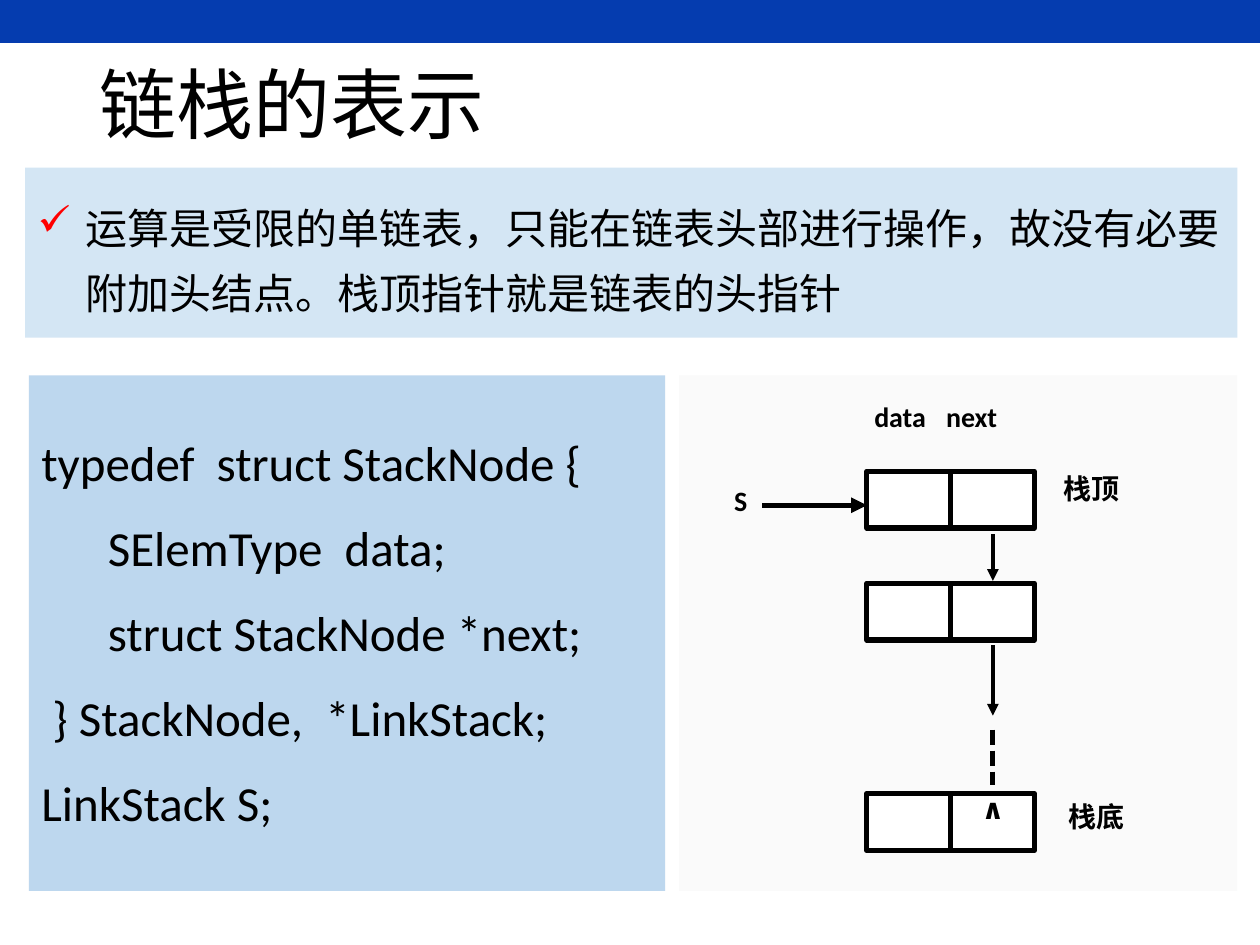
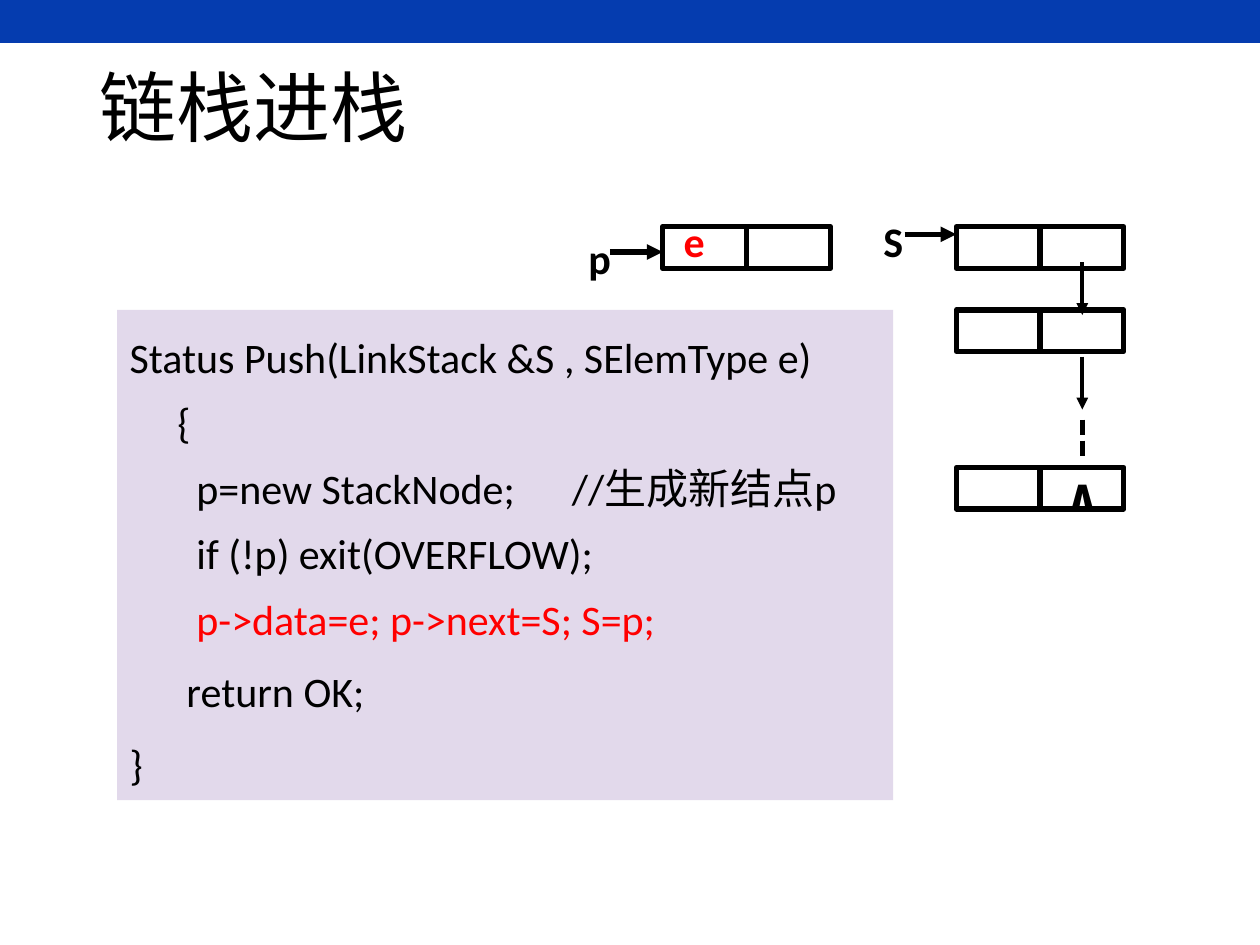
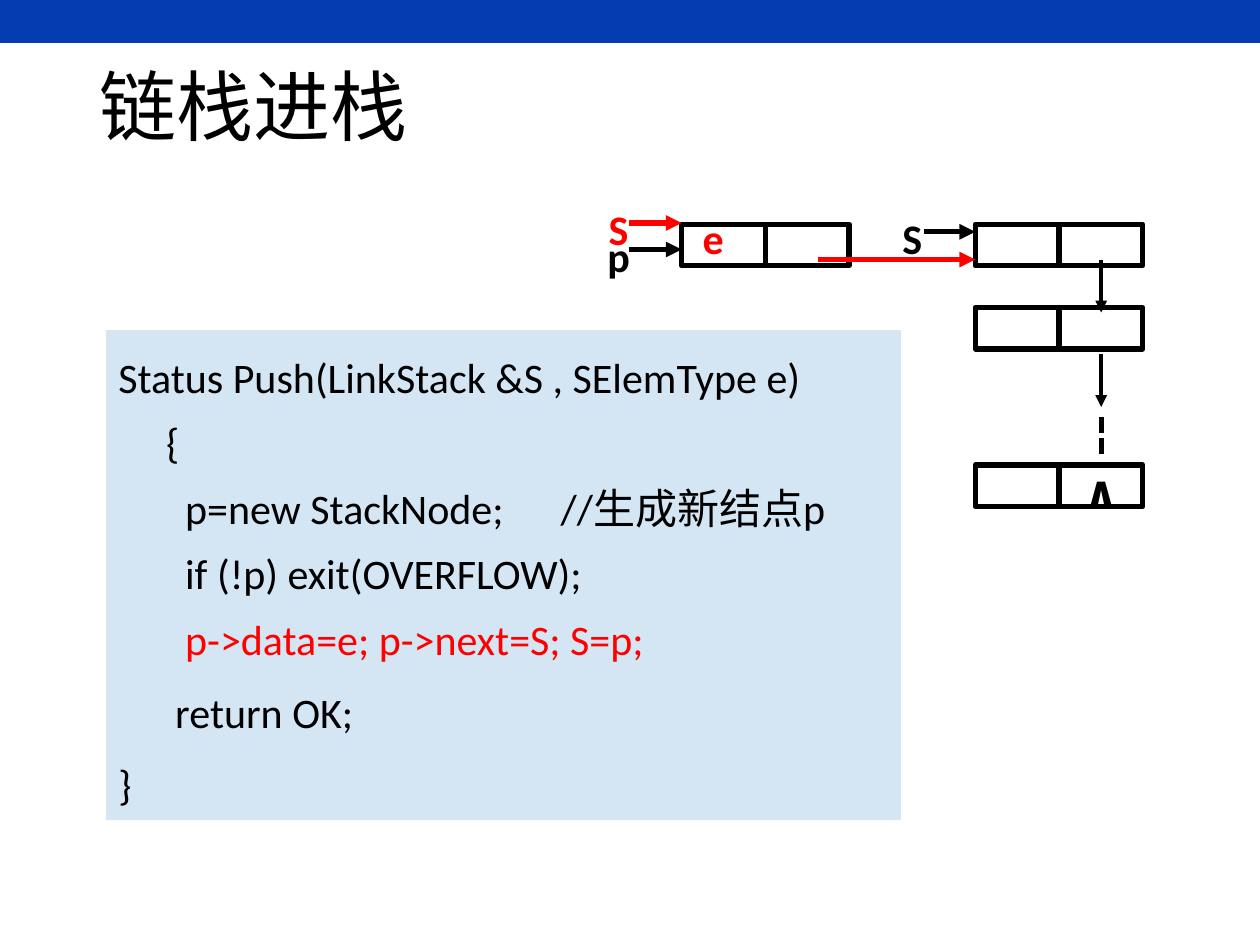
import pptx
import pptx.dml.color
import pptx.enum.dml
import pptx.enum.shapes
import pptx.enum.text
import pptx.oxml
import pptx.oxml.ns
import pptx.util

Inches = pptx.util.Inches
Pt = pptx.util.Pt
ALIGN = pptx.enum.text.PP_ALIGN
ANCHOR = pptx.enum.text.MSO_ANCHOR

# Shared style
BLACK, WHITE, RED = "000000", "FFFFFF", "FF0000"
BAND, PALE_BLUE, CODE_BLUE, LILAC, PANEL = "053CAF", "D4E6F4", "BDD7EE", "E2D9EB", "FAFAFA"
FONT = "Calibri"
HANGING = 0.38
TITLE_FONT = {"name": FONT, "size": Pt(44), "bold": False}

# Slide 1 content
STATEMENT = "运算是受限的单链表，只能在链表头部进行操作，故没有必要附加头结点。栈顶指针就是链表的头指针"
STRUCT_CODE = [
    [("typedef  struct StackNode {", BLACK)],
    [("      SElemType  data;", BLACK)],
    [("      struct StackNode *next;", BLACK)],
    [(" } StackNode,  *LinkStack;", BLACK)],
    [("LinkStack S;", BLACK)],
]
# Labels: text, left, top, width, alignment
STACK_LABELS = [
    ("栈顶", 8.34, 3.69, 1.42, ALIGN.LEFT),
    ("栈底", 8.38, 6.3, 1.42, ALIGN.LEFT),
    ("∧", 7.63, 6.23, 0.5, ALIGN.CENTER),
    ("S", 5.63, 3.79, 0.5, ALIGN.CENTER),
]
# Each link: x, start and end heights, kind
STACK_LINKS = [(7.88, 4.24, 4.61, "arrow"), (7.88, 5.12, 5.68, "arrow"), (7.88, 5.79, 6.23, "dots")]
STACK_NODES = [(6.88, 3.74), (6.88, 4.63), (6.88, 6.3)]

# Push slides content
PUSH_CODE = [
    [("Status Push(LinkStack &S , SElemType e)\n{\n  p=new StackNode;      //生成新结点p\n"
      "  if (!p) exit(OVERFLOW);\n  ", BLACK), ("p->data=e; p->next=S; S=p;", RED)],
    [("      return OK;", BLACK)],
    [("}", BLACK)],
]
PUSH_NODES = [(5.26, 1.8), (7.59, 1.8), (7.59, 2.46), (7.59, 3.71)]
PUSH_LINKS = [(8.59, 2.08, 2.5, "arrow"), (8.59, 2.83, 3.25, "arrow"), (8.59, 3.33, 3.66, "dots")]
# Pointers: start x, end x, height, colour
PUSH_POINTERS = [(4.84, 5.26, 2, BLACK), (7.18, 7.59, 1.86, BLACK)]
PUSH_LABELS = [("p", 4.51, 1.8, BLACK), ("∧", 8.34, 3.66, BLACK),
               ("S", 6.84, 1.66, BLACK), ("e", 5.26, 1.66, RED)]
# After the push, p joins the stack and S moves to it
JOINED_POINTERS = [(6.34, 7.59, 2.08, RED), (4.84, 5.26, 1.79, RED)]
JOINED_LABELS = [("S", 4.51, 1.59, RED)]

PUSH_SLIDES = [
    {"title_height": 0.97, "shift": (0, 0), "code_box": (0.93, 2.46, 6.16, 3.89), "fill": LILAC,
     "pointers": PUSH_POINTERS, "labels": PUSH_LABELS},
    {"title_height": 0.95, "shift": (0.15, -0.02), "code_box": (0.84, 2.62, 6.31, 3.89),
     "fill": PALE_BLUE, "pointers": PUSH_POINTERS + JOINED_POINTERS,
     "labels": PUSH_LABELS + JOINED_LABELS},
]


def color(value):
    return pptx.dml.color.RGBColor.from_string(value)


def apply(target, values):
    for name, value in values.items():
        setattr(target, name, value)


def add_xml(parent, tag, **attributes):
    child = pptx.oxml.ns.qn(tag)
    element = parent.makeelement(child, attributes)
    parent.append(element)
    return element


# Text
def write_runs(paragraph, runs, font):
    for text, run_color in runs:
        for index, line in enumerate(text.split("\n")):
            if index:
                paragraph.add_line_break()
            if line:
                run = paragraph.add_run()
                run.text = line
                apply(run.font, font)
                run.font.color.rgb = color(run_color)


def write_hanging(shape, paragraphs, size, frame_format, bullet=None):
    frame = shape.text_frame
    apply(frame, {"word_wrap": True, **frame_format})
    for index, runs in enumerate(paragraphs):
        paragraph = frame.add_paragraph() if index else frame.paragraphs[0]
        properties = paragraph._p.get_or_add_pPr()
        properties.set("marL", str(Inches(HANGING)))
        properties.set("indent", str(-Inches(HANGING)))
        if bullet:
            add_xml(add_xml(properties, "a:buClr"), "a:srgbClr", val=RED)
            add_xml(properties, "a:buChar", char=bullet)
        apply(paragraph, {"alignment": ALIGN.LEFT, "line_spacing": 1.3,
                          "space_before": Pt(size * 0.175) if index else Pt(0)})
        write_runs(paragraph, runs, {"name": FONT, "size": Pt(size)})


def add_label(slide, text, left, top, width, size, align=ALIGN.CENTER, text_color=BLACK, tab=None):
    height = 0.37 if size == 16 else 0.5
    box = slide.shapes.add_textbox(Inches(left), Inches(top), Inches(width), Inches(height))
    box.text_frame.word_wrap = True
    paragraph = box.text_frame.paragraphs[0]
    if tab:
        tabs = add_xml(paragraph._p.get_or_add_pPr(), "a:tabLst")
        add_xml(tabs, "a:tab", pos=str(Inches(tab)), algn="l")
    paragraph.alignment = align
    write_runs(paragraph, [(text, text_color)], {"name": FONT, "size": Pt(size), "bold": True})


# Shapes and lines
def add_box(slide, left, top, width, height, fill, outline=None):
    shape = slide.shapes.add_shape(pptx.enum.shapes.MSO_SHAPE.RECTANGLE, Inches(left), Inches(top),
                                   Inches(width), Inches(height))
    shape.shadow.inherit = False
    shape.fill.solid()
    shape.fill.fore_color.rgb = color(fill)
    if outline:
        shape.line.color.rgb = color(outline)
        shape.line.width = Pt(3)
    else:
        shape.line.fill.background()
    return shape


def add_line(slide, start, end, line_color=BLACK, width=3, kind="plain"):
    line = slide.shapes.add_connector(pptx.enum.shapes.MSO_CONNECTOR.STRAIGHT,
                                      *(Inches(value) for value in start + end))
    line.line.color.rgb = color(line_color)
    line.line.width = Pt(width)
    if kind == "dots":
        line.line.dash_style = pptx.enum.dml.MSO_LINE.ROUND_DOT
        line.line.dash_style = pptx.enum.dml.MSO_LINE.SQUARE_DOT
    if kind == "arrow":
        add_xml(line.line._get_or_add_ln(), "a:tailEnd", type="triangle")
    add_xml(line._element.spPr, "a:effectLst")


def add_node(slide, left, top, height):
    width = 1.33
    add_box(slide, left, top, width, height, WHITE, BLACK)
    middle = left + width / 2
    add_line(slide, (middle, top), (middle, top + height))


def add_list(slide, nodes, links, node_height, shift=(0, 0)):
    right, down = shift
    for left, top in nodes:
        add_node(slide, left + right, top + down, node_height)
    for x, start, end, kind in links:
        add_line(slide, (x + right, start + down), (x + right, end + down),
                 width=2.25 if kind == "arrow" else 3, kind=kind)


# Slides
def add_master_band(presentation, slide):
    band = add_box(slide, 0, 0, 10, 0.34, BAND)
    band._element.nvSpPr.cNvPr.set("id", "20")
    presentation.slide_master.shapes[0]._element.addprevious(band._element)


def add_titled_slide(presentation, text, height):
    slide = presentation.slides.add_slide(presentation.slide_layouts[5])
    title = slide.shapes.title
    apply(title, {"left": Inches(0.69), "top": Inches(0.4),
                  "width": Inches(8.62), "height": Inches(height)})
    apply(title.text_frame, {"vertical_anchor": ANCHOR.MIDDLE, "word_wrap": True})
    paragraph = title.text_frame.paragraphs[0]
    apply(paragraph, {"alignment": ALIGN.LEFT, "line_spacing": 0.9})
    write_runs(paragraph, [(text, BLACK)], TITLE_FONT)
    return slide


def build_definition(presentation):
    slide = add_titled_slide(presentation, "链栈的表示", 0.93)
    add_master_band(presentation, slide)
    add_box(slide, 5.39, 2.98, 4.43, 4.09, PANEL)
    statement = add_box(slide, 0.2, 1.33, 9.62, 1.35, PALE_BLUE)
    write_hanging(statement, [[(STATEMENT, BLACK)]], 24,
                  {"vertical_anchor": ANCHOR.MIDDLE}, bullet="✓")
    code = add_box(slide, 0.23, 2.98, 5.05, 4.09, CODE_BLUE)
    write_hanging(code, STRUCT_CODE, 28,
                  {"vertical_anchor": ANCHOR.TOP, "margin_top": Inches(0.31)})
    # Linked stack diagram
    add_list(slide, STACK_NODES, STACK_LINKS, 0.45)
    add_line(slide, (6.05, 4.01), (6.88, 4.01), kind="arrow")
    add_label(slide, "data\tnext", 6.84, 3.12, 1.42, 16, ALIGN.LEFT, tab=0.57)
    for text, left, top, width, align in STACK_LABELS:
        add_label(slide, text, left, top, width, 16, align)


def build_push(presentation, scene):
    slide = add_titled_slide(presentation, "链栈进栈", scene["title_height"])
    right, down = scene["shift"]
    add_list(slide, PUSH_NODES, PUSH_LINKS, 0.33, scene["shift"])
    for start, end, y, line_color in scene["pointers"]:
        add_line(slide, (start + right, y + down), (end + right, y + down), line_color, kind="arrow")
    for text, left, top, text_color in scene["labels"]:
        add_label(slide, text, left + right, top + down, 0.5, 24, text_color=text_color)
    code = add_box(slide, *scene["code_box"], scene["fill"])
    write_hanging(code, PUSH_CODE, 24, {"vertical_anchor": ANCHOR.TOP})


def main():
    presentation = pptx.Presentation()
    presentation.slide_width, presentation.slide_height = Inches(10), Inches(7.5)
    build_definition(presentation)
    for scene in PUSH_SLIDES:
        build_push(presentation, scene)
    presentation.save("out.pptx")


if __name__ == "__main__":
    main()
